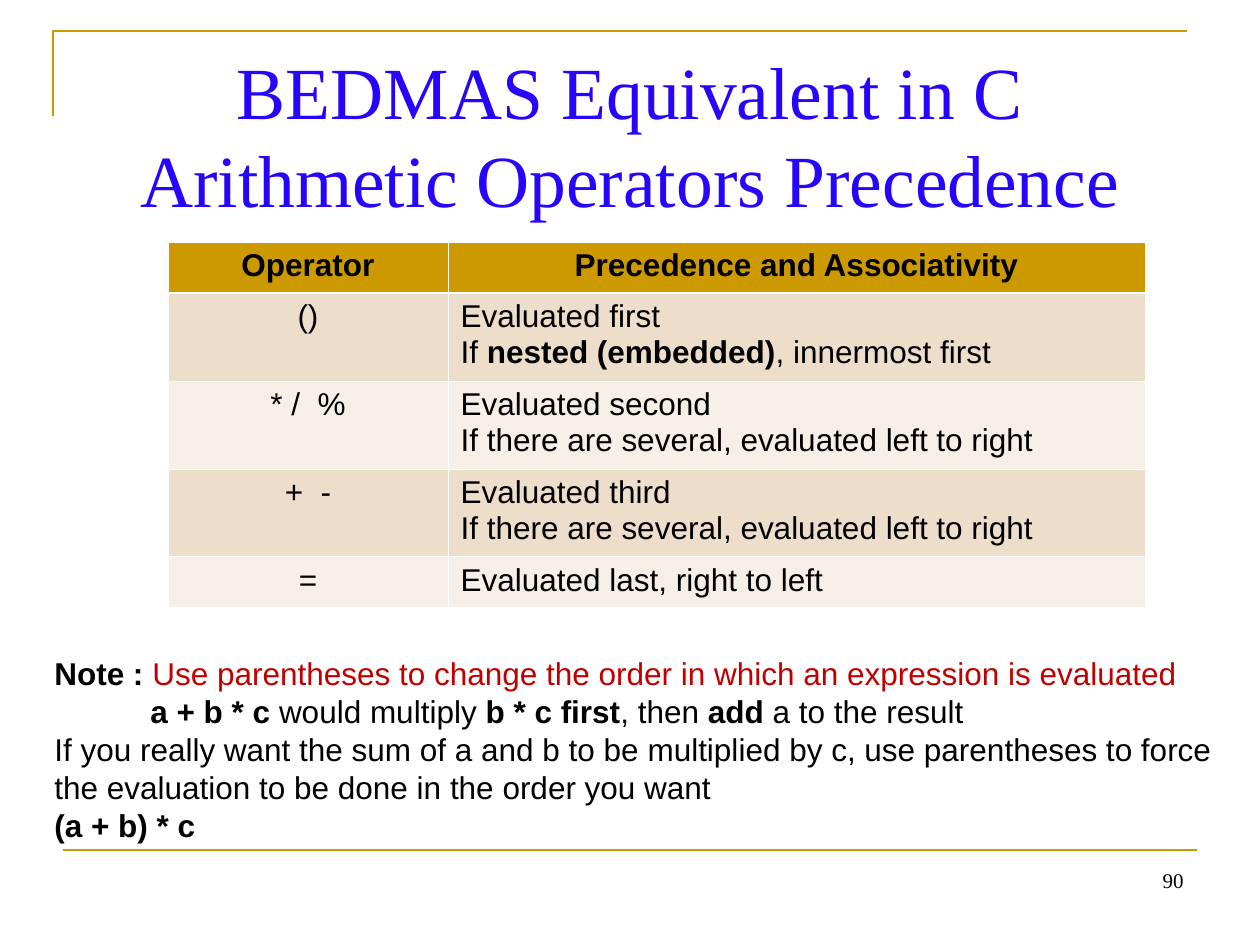
from dataclasses import dataclass

from lxml.etree import SubElement
from pptx import Presentation
from pptx.dml.color import RGBColor as Color
from pptx.enum.shapes import MSO_CONNECTOR as Connector
from pptx.enum.text import PP_ALIGN as Align
from pptx.oxml.ns import qn
from pptx.util import Pt

SCALE = 914400 / 126


def px(length):
    return round(length * SCALE)


def color(value):
    return Color.from_string(value)


@dataclass(frozen=True)
class Theme:
    gold: str = "CC9900"
    blue: str = "2704FC"
    red: str = "C00000"
    black: str = "000000"
    white: str = "FFFFFF"
    bands: tuple = ("ECDECB", "F6EFE7")
    serif: str = "Times New Roman"
    sans: str = "Arial"
    title_size: int = 42
    body_size: int = 18
    number_size: int = 12
    rule_width: float = 1.5
    thin_border: float = 0.45
    thick_border: float = 1.47


class SlideBuilder:
    """Draws styled elements on the current slide."""

    def __init__(self, deck, theme):
        self.theme = theme
        self.page = deck.slides.add_slide(deck.slide_layouts[6])

    def apply(self, target, values):
        for name, value in values.items():
            setattr(target, name, value)

    def fill_text(self, frame, paragraphs, font, align=Align.LEFT, leading=None):
        for index, spans in enumerate(paragraphs):
            para = frame.paragraphs[0] if index == 0 else frame.add_paragraph()
            self.apply(para, {"alignment": align, "line_spacing": leading})
            for text, *changes in spans:
                if text == "\v":
                    para.add_line_break()
                    continue
                look = {"bold": False, "ink": self.theme.black, **font}
                for change in changes:
                    look.update(change)
                ink = look.pop("ink")
                span = para.add_run()
                span.text = text
                self.apply(span.font, look)
                span.font.color.rgb = color(ink)

    def text(self, bounds, paragraphs, font, margins=None, **layout):
        box = self.page.shapes.add_textbox(*map(px, bounds))
        frame = box.text_frame
        self.apply(frame, {"word_wrap": True, **(margins or {})})
        self.fill_text(frame, paragraphs, font, **layout)
        return frame

    def rule(self, shape):
        shape.line.color.rgb = color(self.theme.gold)
        shape.line.width = Pt(self.theme.rule_width)

    def corner(self, start, *points):
        builder = self.page.shapes.build_freeform(*start, scale=SCALE)
        builder.add_line_segments(points, close=False)
        shape = builder.convert_to_shape()
        shape.fill.background()
        shape.shadow.inherit = False
        self.rule(shape)

    def line(self, start, end):
        ends = map(px, (*start, *end))
        connector = self.page.shapes.add_connector(Connector.STRAIGHT, *ends)
        self.rule(connector)
        SubElement(connector._element.spPr, qn("a:effectLst"))

    def borders(self, cell, thick_side):
        properties = cell._tc.get_or_add_tcPr()
        for position, side in enumerate("LRTB"):
            thick = side == thick_side
            width = self.theme.thick_border if thick else self.theme.thin_border
            border = SubElement(properties, qn(f"a:ln{side}"), w=str(Pt(width)))
            fill = SubElement(border, qn("a:solidFill"))
            SubElement(fill, qn("a:srgbClr"), val=self.theme.white)
            properties.insert(position, border)

    def table(self, origin, widths, heights, rows, font):
        bounds = (*origin, sum(widths), sum(heights))
        grid = self.page.shapes.add_table(
            len(rows), len(widths), *map(px, bounds)).table
        self.apply(grid, {"first_row": False, "horz_banding": False})
        for column, width in zip(grid.columns, widths):
            column.width = px(width)
        for index, (row, height) in enumerate(zip(rows, heights)):
            grid.rows[index].height = px(height)
            header = index == 0
            fill = self.theme.gold if header else self.theme.bands[(index - 1) % 2]
            for position, paragraphs in enumerate(row):
                cell = grid.cell(index, position)
                cell.fill.solid()
                cell.fill.fore_color.rgb = color(fill)
                align = Align.CENTER if header or position == 0 else Align.LEFT
                self.fill_text(cell.text_frame, paragraphs,
                               {**font, "bold": header}, align, Pt(20.2))
                self.borders(cell, {0: "B", 1: "T"}.get(index))


def main():
    deck = Presentation()
    deck.slide_width, deck.slide_height = px(1260), px(945)
    theme = Theme()
    slide = SlideBuilder(deck, theme)
    title = {"name": theme.serif, "size": Pt(theme.title_size), "ink": theme.blue}
    body = {"name": theme.sans, "size": Pt(theme.body_size)}
    number = {"name": theme.serif, "size": Pt(theme.number_size)}
    bold = {"bold": True}

    slide.corner((53, 116), (53, 31), (1187, 31))
    slide.line((63, 850), (1197, 850))
    slide.text(
        (63, 38, 1134, 157),
        [[("BEDMAS Equivalent in C",), ("\v",),
          ("Arithmetic Operators Precedence",)]],
        title, {"margin_top": px(9)}, align=Align.CENTER, leading=Pt(50))

    several = [("If there are several, evaluated left to right",)]
    nested = [("If ",), ("nested (embedded)", bold), (", innermost first",)]
    rows = [
        ([[("Operator",)]], [[("Precedence and Associativity",)]]),
        ([[("()",)]], [[("Evaluated first",)], nested]),
        ([[("* /  %",)]], [[("Evaluated second",)], several]),
        ([[("+  -",)]], [[("Evaluated third",)], several]),
        ([[("=",)]], [[("Evaluated last, right to left",)]]),
    ]
    slide.table((168, 242), (280, 697), (51, 88, 88, 88, 51), rows, body)
    slide.text((903, 861, 293, 66), [[("90",)]], number, align=Align.RIGHT)

    notes = slide.text(
        (42, 648, 1187, 202),
        [[("Note : ", bold),
          ("Use parentheses to change the order in which an expression is evaluated",
           {"ink": theme.red})],
         [("a + b * c ", bold), ("would multiply ",), ("b * c first", bold),
          (", then ",), ("add", bold), (" a to the result",)],
         [("If you really want the sum of a and b to be multiplied by c, use "
           "parentheses to force the evaluation to be done in the order you want",)],
         [("(a + b) * c", bold)]],
        body, leading=Pt(21.7))
    notes.paragraphs[1]._p.get_or_add_pPr().set("marL", str(px(96)))
    deck.save("out.pptx")


if __name__ == "__main__":
    main()
